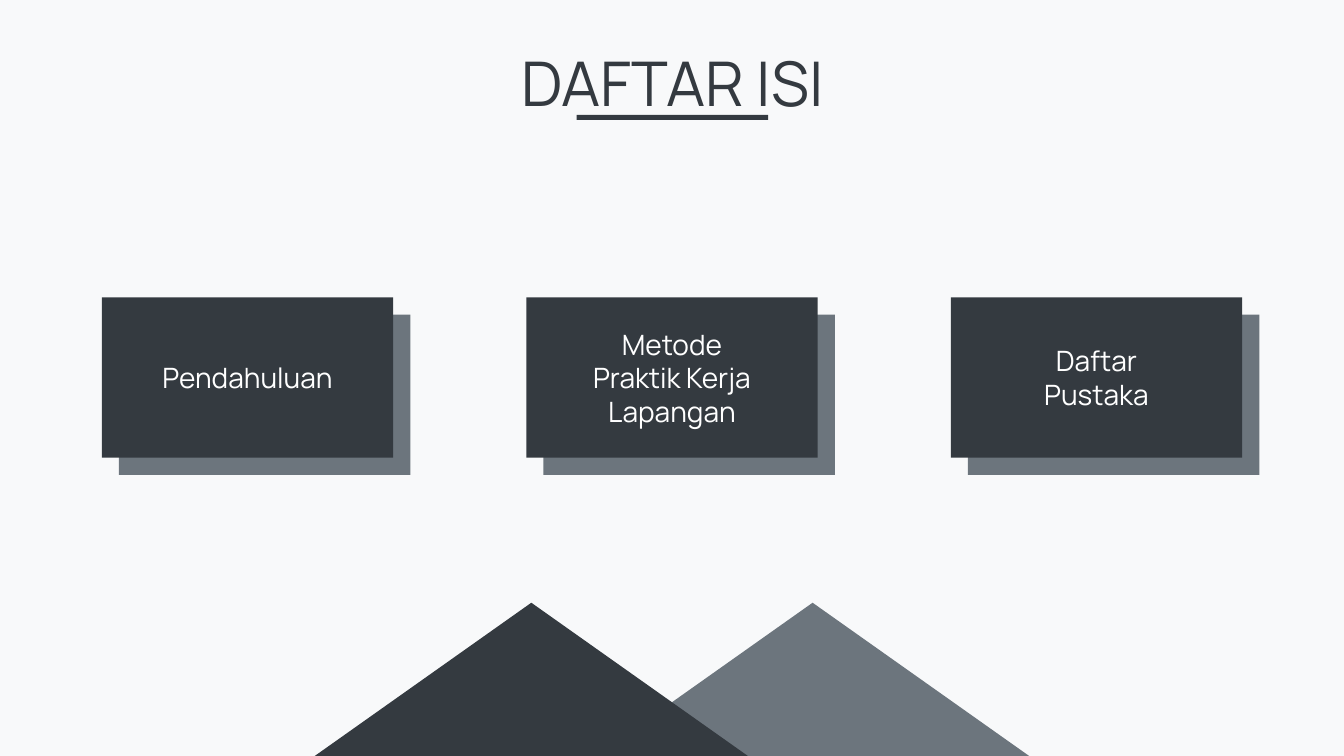
from pptx import Presentation
from pptx.dml.color import RGBColor
from pptx.enum import shapes, text
from pptx.util import Inches, Pt

HUES = {"back": "F8F9FA", "dark": "343A40", "gray": "6C757D", "white": "FFFFFF"}
KINDS = shapes.MSO_SHAPE


def draw(kind, box, hue):
    shape = slide.shapes.add_shape(kind, *map(Inches, box))
    shape.shadow.inherit = False
    shape.fill.solid()
    shape.fill.fore_color.rgb = RGBColor.from_string(HUES[hue])
    shape.line.fill.background()
    return shape


def write(shape, lines, size, hue, space):
    frame = shape.text_frame
    frame.text = "\n".join(lines)
    frame.word_wrap = True
    frame.vertical_anchor = text.MSO_ANCHOR.MIDDLE
    look = {"name": "Manrope", "size": Pt(size), "bold": False}
    for para in frame.paragraphs:
        para.alignment = text.PP_ALIGN.CENTER
        para.line_spacing = space
        font = para.runs[0].font
        for key, value in look.items():
            setattr(font, key, value)
        font.color.rgb = RGBColor.from_string(HUES[hue])


deck = Presentation()
deck.slide_width, deck.slide_height = Inches(13.33), Inches(7.5)
slide = deck.slides.add_slide(deck.slide_layouts[5])
slide.background.fill.solid()
slide.background.fill.fore_color.rgb = RGBColor.from_string(HUES["back"])

title = slide.shapes.title
place = {"left": 0.92, "top": 0.4, "width": 11.5, "height": 0.92}
for key, value in place.items():
    setattr(title, key, Inches(value))
write(title, ["DAFTAR ISI"], 44, "dark", 0.9)

topics = [
    ["Pendahuluan"],
    ["Metode", "Praktik Kerja Lapangan"],
    ["Daftar", "Pustaka"],
]
left, top, wide, high = 1.01, 2.95, 2.89, 1.59
step, shift = 4.21, 0.17
for i, lines in enumerate(topics):
    x = left + i * step
    draw(KINDS.RECTANGLE, (x + shift, top + shift, wide, high), "gray")
    card = draw(KINDS.RECTANGLE, (x, top, wide, high), "dark")
    write(card, lines, 20, "white", 1.0)

for x, hue in ((5.46, "gray"), (2.67, "dark")):
    draw(KINDS.ISOSCELES_TRIANGLE, (x, 5.98, 5.2, 1.84), hue)

draw(KINDS.RECTANGLE, (5.72, 1.14, 1.9, 0.05), "dark")

deck.save("out.pptx")
